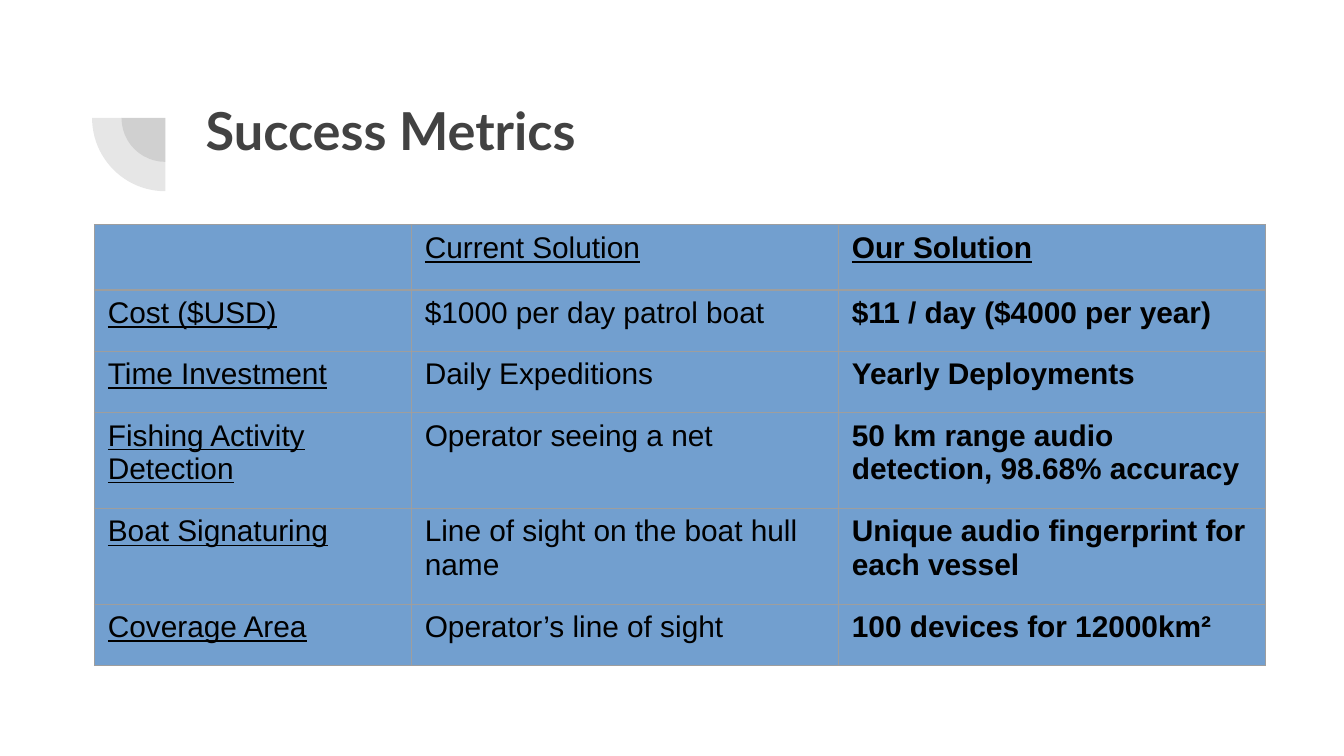
from dataclasses import dataclass
from pptx import Presentation
from pptx.dml.color import RGBColor as RGB
from pptx.enum.shapes import MSO_SHAPE as SHAPE
from pptx.enum.text import MSO_ANCHOR as ANCHOR, MSO_AUTO_SIZE as FIT, PP_ALIGN as ALIGN
from pptx.oxml import parse_xml
from pptx.oxml.ns import nsdecls, qn
from pptx.util import Pt


@dataclass(frozen=True)
class Theme:
    dark: str = "424242"
    ink: str = "000000"
    cell: str = "729FCF"
    edge: str = "9E9E9E"
    head: str = "Lato"
    body: str = "Arial"
    big: float = 28
    text: float = 16
    line: float = 0.75
    alpha: int = 13


class Deck:
    def __init__(self, theme, wide, high):
        self.theme = theme
        self.prs = Presentation()
        self.prs.slide_width, self.prs.slide_height = Pt(wide), Pt(high)
        self.slide = None

    def page(self):
        self.slide = self.prs.slides.add_slide(self.prs.slide_layouts[5])

    def font(self, para, name, size, color, bold=False, under=False):
        font = para.font
        font.name, font.size = name, Pt(size)
        font.color.rgb = RGB.from_string(color)
        font.bold, font.underline = bold, under

    def title(self, text, x, y, w, h):
        box = self.slide.shapes.title
        box.left, box.top, box.width, box.height = Pt(x), Pt(y), Pt(w), Pt(h)
        frame = box.text_frame
        frame.text = text
        frame.auto_size = FIT.NONE
        frame.vertical_anchor = ANCHOR.TOP
        frame.margin_left = frame.margin_right = Pt(7.2)
        frame.margin_top = frame.margin_bottom = Pt(7.2)
        para = frame.paragraphs[0]
        para.alignment = ALIGN.LEFT
        self.font(para, self.theme.head, self.theme.big, self.theme.dark, bold=True)

    def wedge(self, x, y, radius):
        """Quarter disc below and left of the centre (x, y)."""
        pie = self.slide.shapes.add_shape(
            SHAPE.PIE, Pt(x - radius), Pt(y - radius), Pt(2 * radius), Pt(2 * radius))
        pie.adjustments[0], pie.adjustments[1] = 108, 162
        pie.rotation = 270
        pie.shadow.inherit = False
        pie.line.fill.background()
        pie.fill.solid()
        pie.fill.fore_color.rgb = RGB.from_string(self.theme.dark)
        color = pie.fill._xPr.find(qn("a:solidFill"))[0]
        color.append(parse_xml(
            f'<a:alpha {nsdecls("a")} val="{self.theme.alpha * 1000}"/>'))

    def border(self, cell):
        props = cell._tc.get_or_add_tcPr()
        for spot, side in enumerate(("lnL", "lnR", "lnT", "lnB")):
            props.insert(spot, parse_xml(
                f'<a:{side} {nsdecls("a")} w="{Pt(self.theme.line)}"><a:solidFill>'
                f'<a:srgbClr val="{self.theme.edge}"/></a:solidFill></a:{side}>'))

    def table(self, rows, x, y, wides, highs):
        table = self.slide.shapes.add_table(
            len(rows), len(wides), Pt(x), Pt(y), Pt(sum(wides)), Pt(sum(highs))).table
        table.first_row = table.horz_banding = False
        for col, wide in zip(table.columns, wides):
            col.width = Pt(wide)
        for r, (row, high) in enumerate(zip(rows, highs)):
            table.rows[r].height = Pt(high)
            for c, text in enumerate(row):
                cell = table.cell(r, c)
                cell.text = text
                cell.fill.solid()
                cell.fill.fore_color.rgb = RGB.from_string(self.theme.cell)
                self.border(cell)
                # Labels are underlined, the last column is bold
                self.font(cell.text_frame.paragraphs[0], self.theme.body,
                          self.theme.text, self.theme.ink,
                          bold=c == len(row) - 1, under=r == 0 or c == 0)

    def save(self):
        self.prs.save("out.pptx")


ROWS = [
    ("", "Current Solution", "Our Solution"),
    ("Cost ($USD)", "$1000 per day patrol boat", "$11 / day ($4000 per year)"),
    ("Time Investment", "Daily Expeditions", "Yearly Deployments"),
    ("Fishing Activity Detection", "Operator seeing a net",
     "50 km range audio detection, 98.68% accuracy"),
    ("Boat Signaturing", "Line of sight on the boat hull name",
     "Unique audio fingerprint for each vessel"),
    ("Coverage Area", "Operator’s line of sight", "100 devices for 12000km²"),
]


def main():
    deck = Deck(Theme(), 720, 405)
    deck.page()

    # Corner ornament
    for radius in (23.5, 39.25):
        deck.wedge(88.6, 63.2, radius)

    # Heading
    deck.title("Success Metrics", 103, 45.4, 553.7, 78.5)

    # Comparison table
    low, tall = 32.8, 51.4
    deck.table(ROWS, 50.6, 120.4, (169.8, 228.8, 228.8),
               (35, low, low, tall, tall, low))
    deck.save()


if __name__ == "__main__":
    main()
